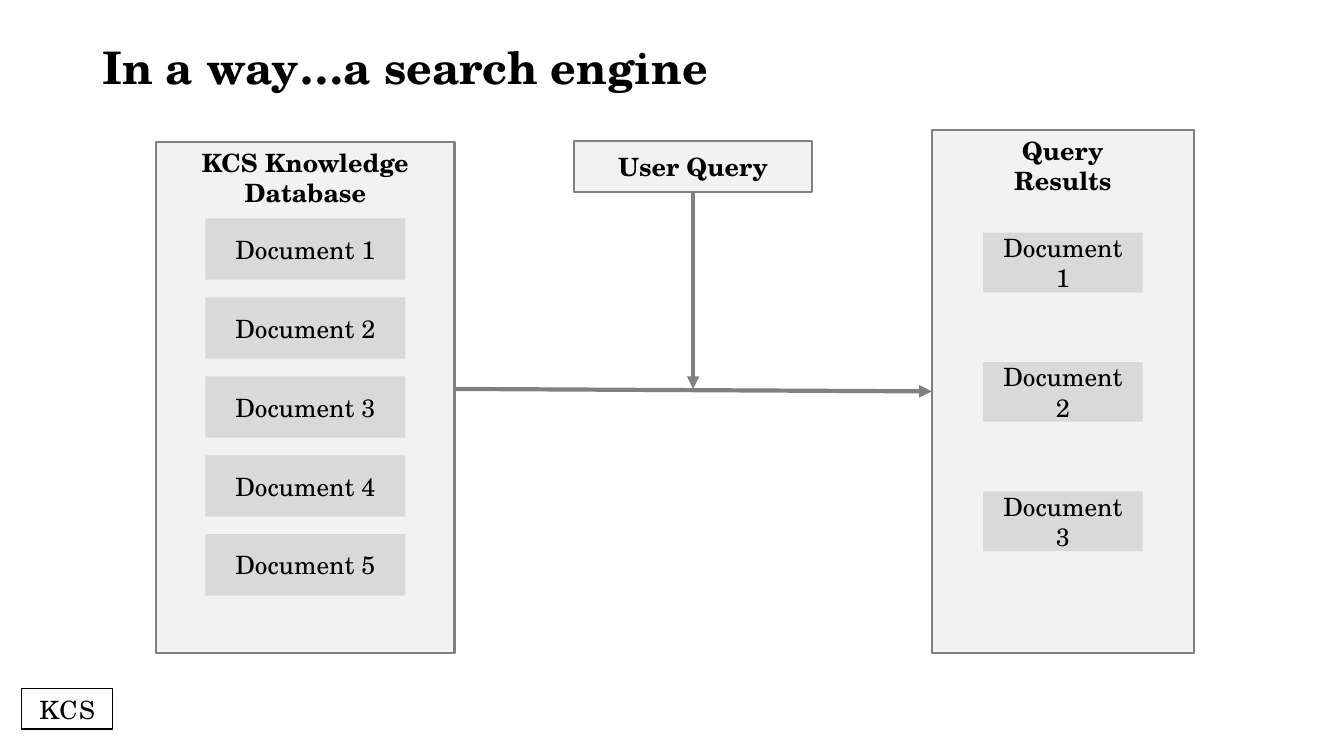
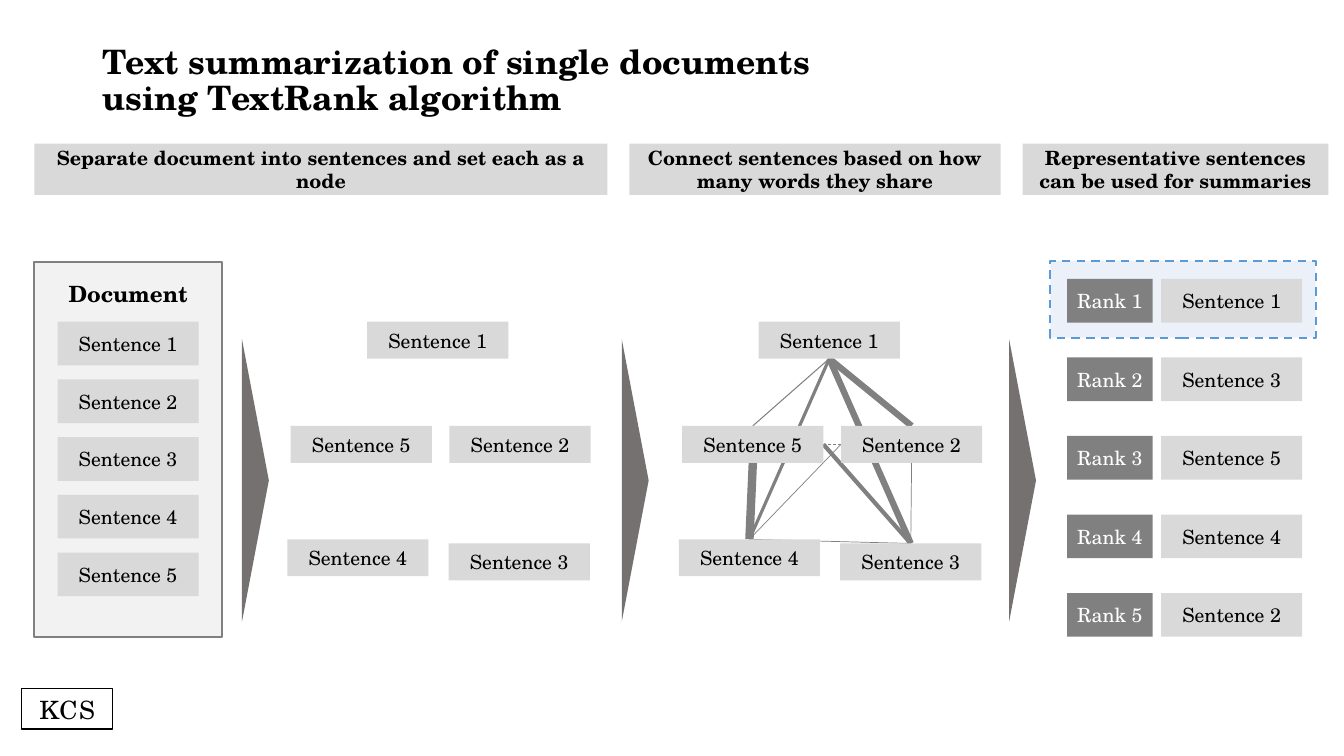
from lxml import etree
from pptx import Presentation
from pptx.dml.color import RGBColor
from pptx.enum.dml import MSO_LINE
from pptx.enum.shapes import MSO_CONNECTOR, MSO_SHAPE
from pptx.enum.text import MSO_ANCHOR, MSO_AUTO_SIZE, PP_ALIGN
from pptx.oxml.ns import qn
from pptx.util import Inches, Pt

RECT, WEDGE = MSO_SHAPE.RECTANGLE, MSO_SHAPE.ISOSCELES_TRIANGLE
STRAIGHT, DASH = MSO_CONNECTOR.STRAIGHT, MSO_LINE.DASH
TOP, MIDDLE = MSO_ANCHOR.TOP, MSO_ANCHOR.MIDDLE
LEFT, CENTER = PP_ALIGN.LEFT, PP_ALIGN.CENTER
FIT_NONE = MSO_AUTO_SIZE.NONE

BLACK = RGBColor(0x00, 0x00, 0x00)
WHITE = RGBColor(0xFF, 0xFF, 0xFF)
PALE = RGBColor(0xF2, 0xF2, 0xF2)
LIGHT = RGBColor(0xD9, 0xD9, 0xD9)
GRAY = RGBColor(0x80, 0x80, 0x80)
DARK = RGBColor(0x76, 0x71, 0x71)
SKY = RGBColor(0xDA, 0xE3, 0xF3)
BLUE = RGBColor(0x5B, 0x9B, 0xD5)
FONT = "TeX Gyre Schola"

# The slide is a grid of 160 columns and 90 rows of square cells.
WIDE, HIGH = Inches(13.33), Inches(7.5)
CELL = HIGH / 90

NODE = (16.8, 4.4)
# Node number -> place inside the graph's box
SPOTS = {1: (9.5, 0), 2: (19.3, 12.4), 3: (19.2, 26.4),
         4: (0, 25.9), 5: (0.4, 12.4)}
N, W, S, E = range(4)
# First node and side, second node and side, line width
EDGES = [(2, W, 5, E, 0.5), (1, S, 4, N, 2.25), (1, S, 3, N, 4.5),
         (1, S, 2, N, 4.5), (5, S, 4, N, 6), (1, S, 5, N, 0.75),
         (4, N, 3, N, 0.5), (2, S, 3, N, 0.5), (4, N, 2, W, 0.5),
         (5, E, 3, N, 3)]


def grid(*cells):
    return [round(n * CELL) for n in cells]


def style(frame, size, bold=False, color=BLACK, align=CENTER):
    for para in frame.paragraphs:
        para.alignment = align
        for run in para.runs:
            font = run.font
            font.name, font.size, font.bold = FONT, Pt(size), bold
            font.color.rgb = color


def block(slide, box, text="", size=14, fill=LIGHT, line=None, bold=False,
          color=BLACK, anchor=MIDDLE, weight=1.5, kind=RECT):
    """Add a flat shape, by default a light rectangle with centred text."""
    shape = slide.shapes.add_shape(kind, *grid(*box))
    shape.shadow.inherit = False
    if fill is None:
        shape.fill.background()
    else:
        shape.fill.solid()
        shape.fill.fore_color.rgb = fill
    if line is None:
        shape.line.fill.background()
    else:
        shape.line.color.rgb = line
        shape.line.width = Pt(weight)
    if text:
        frame = shape.text_frame
        frame.text, frame.word_wrap = text, True
        frame.vertical_anchor = anchor
        style(frame, size, bold, color)
    return shape


def link(slide, start, end, width, arrow=False):
    line = slide.shapes.add_connector(STRAIGHT, *grid(*start, *end))
    line.line.color.rgb = GRAY
    line.line.width = Pt(width)
    if arrow:
        tail = etree.SubElement(line.line._get_or_add_ln(), qn("a:tailEnd"))
        tail.set("type", "triangle")
    etree.SubElement(line.element.spPr, qn("a:effectLst"))
    return line


def panel(slide, box, title, items, part, first, pitch, head, size):
    """Add a framed column: a title above evenly spaced, centred items."""
    left, top, width, _ = box
    frame = block(slide, box, title, head, PALE, GRAY, True, anchor=TOP)
    x = left + (width - part[0]) / 2
    for i, item in enumerate(items):
        block(slide, (x, top + first + i * pitch, *part), item, size)
    return frame


def graph(slide, left, top, edges=()):
    """Add the five sentence nodes, with any edges behind them."""
    nodes = {n: block(slide, (left + x, top + y, *NODE), f"Sentence {n}")
             for n, (x, y) in SPOTS.items()}
    for one, out, two, into, width in edges:
        line = link(slide, (left, top), (left, top), width)
        line.begin_connect(nodes[one], out)
        line.end_connect(nodes[two], into)
        if (one, two) == (2, 5):
            line.line.dash_style = DASH
    for node in nodes.values():
        slide.shapes.element.append(node.element)


def ranks(slide, box, order):
    """Add the ranked rows, with the first row framed by the box."""
    left, top, _, _ = box
    frame = block(slide, box, fill=SKY, line=BLUE)
    frame.line.dash_style = DASH
    tint = frame.element.spPr.find(qn("a:solidFill"))[0]
    etree.SubElement(tint, qn("a:alpha")).set("val", "50000")
    for i, n in enumerate(order):
        y = top + 2.1 + i * 9.35
        block(slide, (left + 2, y, 10.2, 5.2), f"Rank {i + 1}",
              fill=GRAY, color=WHITE)
        block(slide, (left + 13.2, y, 16.8, 5.2), f"Sentence {n}")


def brand(layout, slide):
    """Put the shared title place and corner tag on the layout."""
    title = layout.placeholders[0]
    title.left, title.top, title.width, title.height = grid(11, 4.8, 138, 10.2)
    tag = block(slide, (2.6, 82, 10.8, 4.8), "KCS", 18, None, BLACK, weight=1)
    run = tag.text_frame.paragraphs[0].runs[0]
    run.font.element.set("spc", "100") if hasattr(run.font, "element") \
        else run._r.get_or_add_rPr().set("spc", "100")
    tag.element.nvSpPr.cNvPr.set("id", "99")
    layout.shapes.element.append(tag.element)


def page(deck, title, size):
    slide = deck.slides.add_slide(deck.slide_layouts[5])
    frame = slide.shapes.title.text_frame
    frame.text, frame.word_wrap = title, True
    frame.auto_size, frame.vertical_anchor = FIT_NONE, TOP
    frame.paragraphs[0].line_spacing = 0.9
    style(frame, size, True, align=LEFT)
    return slide


def search(deck):
    slide = page(deck, "In a way…a search engine", 32)
    names = [f"Document {n}" for n in range(1, 6)]
    found = panel(slide, (110.9, 15.5, 31.2, 62.2), "Query\nResults",
                  names[:3], (19, 7.1), 12.2, 15.4, 18, 18)
    panel(slide, (18.6, 16.9, 35.5, 60.8), "KCS Knowledge Database",
          names, (23.8, 7.3), 9.1, 9.4, 18, 18)
    query = block(slide, (68.3, 16.8, 28.4, 6.1), "User Query", 18,
                  PALE, GRAY, True)
    flow = link(slide, (54.1, 46.3), (110.9, 46.6), 3, True)
    flow.end_connect(found, W)
    ask = link(slide, (82.5, 22.9), (82.5, 46.3), 3, True)
    ask.begin_connect(query, S)
    return slide


def summary(deck):
    slide = page(deck, "Text summarization of single documents\v"
                 "using TextRank algorithm", 24)
    heads = [
        (4.1, 68.2, "Separate document into sentences and set each as a node"),
        (74.9, 44.2, "Connect sentences based on how many words they share"),
        (121.7, 36.4, "Representative sentences can be used for summaries")]
    for x, width, text in heads:
        block(slide, (x, 17.1, width, 6.1), text, bold=True)
    source = panel(slide, (4.1, 31.2, 22.3, 44.6), "Document",
                   [f"Sentence {n}" for n in range(1, 6)],
                   (16.8, 5.2), 7.1, 6.87, 16, 14)
    para = source.text_frame.paragraphs[0]
    para.line_spacing, para.space_before = 1.5, Pt(6)
    for x in (30.4, 75.6, 121.7):
        wedge = block(slide, (x - 16.8, 55.6, 33.6, 3.2), fill=DARK,
                      kind=WEDGE)
        wedge.rotation = 90
    graph(slide, 34.2, 38.3)
    graph(slide, 80.8, 38.3, EDGES)
    ranks(slide, (125, 31.1, 31.6, 9.1), (1, 3, 5, 4, 2))


def main():
    deck = Presentation()
    deck.slide_width, deck.slide_height = WIDE, HIGH
    brand(deck.slide_layouts[5], search(deck))
    summary(deck)
    deck.save("out.pptx")


if __name__ == "__main__":
    main()
